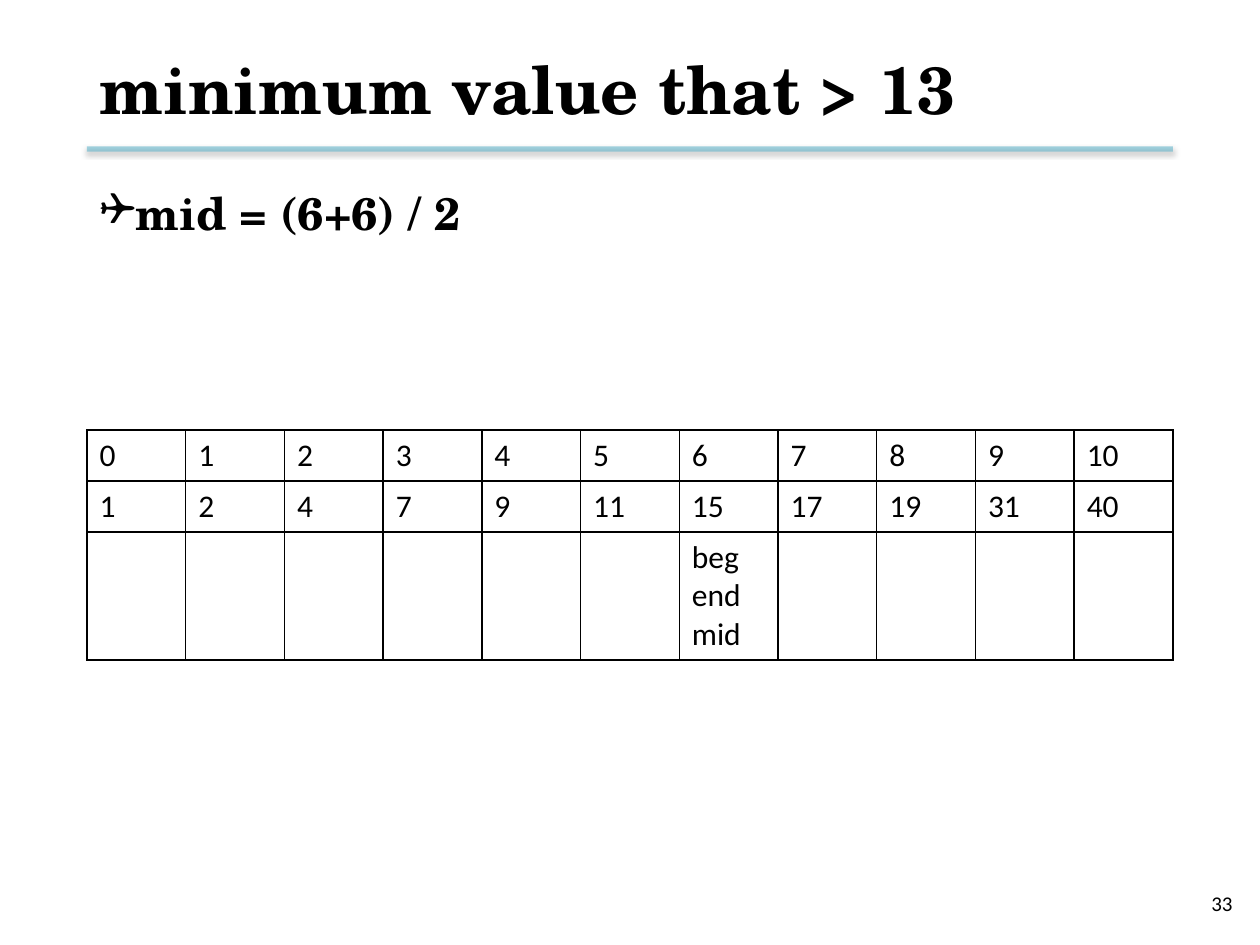
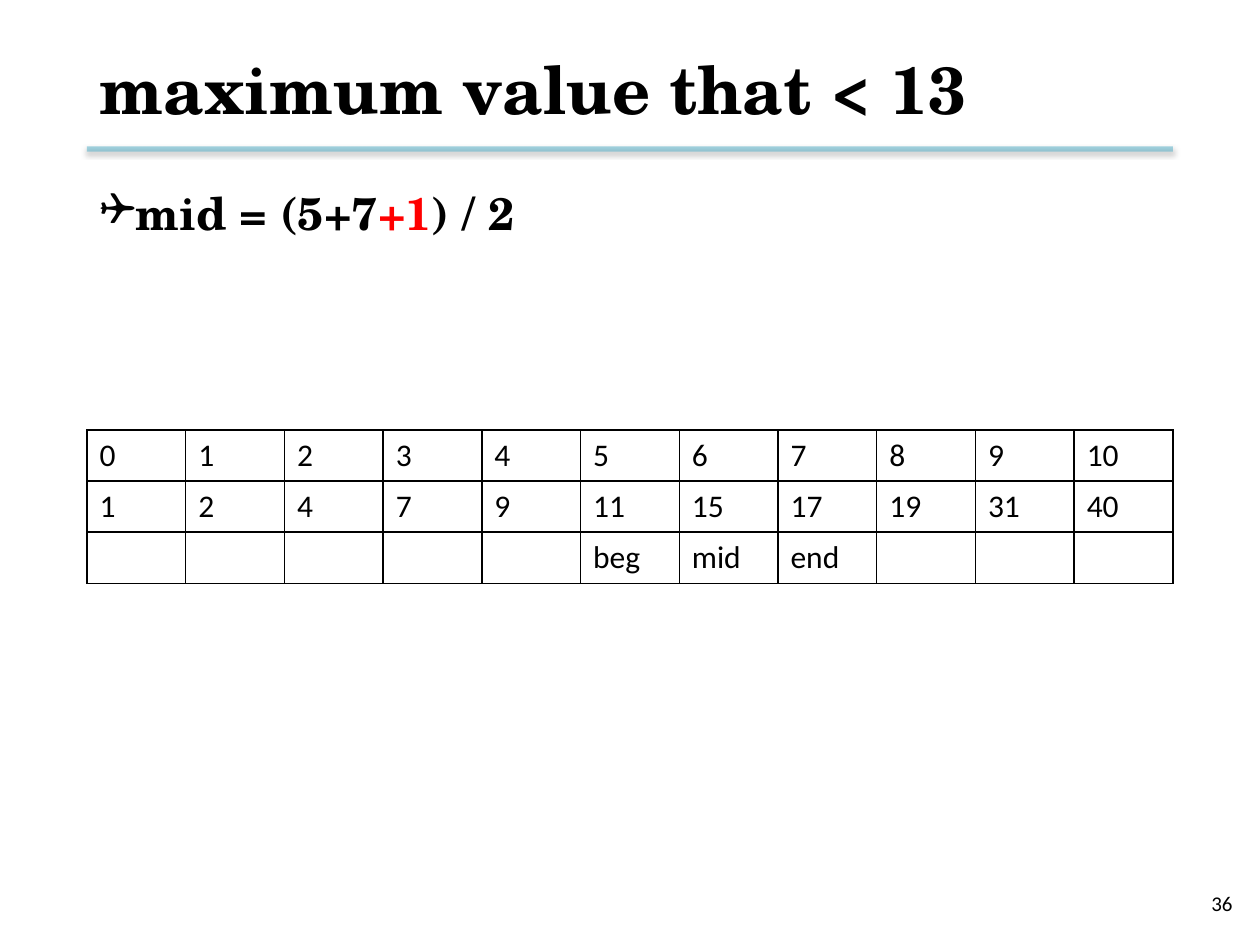
"""Build two binary search slides, each with a midpoint formula and an index table."""
import pptx
import pptx.dml.color
import pptx.enum.shapes
import pptx.enum.text
import pptx.oxml
import pptx.oxml.ns
import pptx.util

PX = 7257
LEFT, WIDTH = 87, 1086
BLACK, RED, AQUA = "000000", "FF0000", "4BACC6"
NAMESPACE = pptx.oxml.ns.nsdecls("a")

TITLE_FORMAT = {"name": "TeX Gyre Schola", "size": pptx.util.Pt(38), "bold": True}
BODY_FORMAT = {"name": "TeX Gyre Schola", "size": pptx.util.Pt(26), "bold": True}
CELL_FORMAT = {"name": "Calibri", "size": pptx.util.Pt(18), "bold": False}
NUMBER_FORMAT = {"name": "Calibri", "size": pptx.util.Pt(12), "bold": False}

INDEXES = range(11)
VALUES = [1, 2, 4, 7, 9, 11, 15, 17, 19, 31, 40]

SLIDES = [
    {"title": "minimum value that > 13", "number": "33",
     "formula": [("mid = (6+6) / 2", BLACK)],
     "markers": {6: ["beg", "end", "mid"]}},
    {"title": "maximum value that < 13", "number": "36",
     "formula": [("mid = (5+7", BLACK), ("+1", RED), (") / 2", BLACK)],
     "markers": {5: ["beg"], 6: ["mid"], 7: ["end"]}},
]


def color(code):
    return pptx.dml.color.RGBColor.from_string(code)


def write(para, pieces, text_format):
    for text, code in pieces:
        span = para.add_run()
        span.text = text
        span.font.color.rgb = color(code)
        for attribute, value in text_format.items():
            setattr(span.font, attribute, value)


deck = pptx.Presentation()
deck.slide_width, deck.slide_height = 1260 * PX, 945 * PX

for content in SLIDES:
    page = deck.slides.add_slide(deck.slide_layouts[1])

    title, body = page.shapes.title, page.placeholders[1]
    number = page.shapes.add_textbox(951 * PX, 878 * PX, 294 * PX, 50 * PX)
    middle, top = pptx.enum.text.MSO_ANCHOR.MIDDLE, pptx.enum.text.MSO_ANCHOR.TOP
    for box, anchor in [(title, middle), (body, top), (number, middle)]:
        box.text_frame.word_wrap = True
        box.text_frame.auto_size = pptx.enum.text.MSO_AUTO_SIZE.NONE
        box.text_frame.vertical_anchor = anchor
    for box, y, height in [(title, 21, 134), (body, 179, 643)]:
        box.left, box.top = LEFT * PX, y * PX
        box.width, box.height = WIDTH * PX, height * PX

    para = title.text_frame.paragraphs[0]
    para.alignment = pptx.enum.text.PP_ALIGN.LEFT
    write(para, [(content["title"], BLACK)], TITLE_FORMAT)

    para = number.text_frame.paragraphs[0]
    para.alignment = pptx.enum.text.PP_ALIGN.RIGHT
    write(para, [(content["number"], BLACK)], NUMBER_FORMAT)

    para = body.text_frame.paragraphs[0]
    para.space_before = pptx.util.Pt(0)
    properties = para._p.get_or_add_pPr()
    properties.set("marL", str(32 * PX))
    properties.set("indent", str(-57 * PX))
    for bullet in ['buFont {} typeface="Wingdings"', 'buChar {} char="❑"']:
        properties.append(pptx.oxml.parse_xml(f"<a:{bullet.format(NAMESPACE)}/>"))
    write(para, content["formula"], BODY_FORMAT)

    rule = page.shapes.add_connector(
        pptx.enum.shapes.MSO_CONNECTOR.STRAIGHT,
        LEFT * PX, 149 * PX, (LEFT + WIDTH) * PX, 149 * PX)
    rule.line.width = pptx.util.Pt(3)
    rule.line.color.rgb = color(AQUA)
    line_color = rule.line._ln.find(".//" + pptx.oxml.ns.qn("a:srgbClr"))
    line_color.append(pptx.oxml.parse_xml(f'<a:alpha {NAMESPACE} val="50000"/>'))
    rule._element.spPr.append(pptx.oxml.parse_xml(
        f'<a:effectLst {NAMESPACE}><a:outerShdw blurRad="{pptx.util.Pt(3.1)}" '
        f'dist="{pptx.util.Pt(1.6)}" dir="5400000" rotWithShape="0">'
        f'<a:srgbClr val="{BLACK}"><a:alpha val="38000"/></a:srgbClr>'
        '</a:outerShdw></a:effectLst>'))

    rows = [[[str(index)] for index in INDEXES],
            [[str(value)] for value in VALUES],
            [content["markers"].get(index, []) for index in INDEXES]]
    table = page.shapes.add_table(
        len(rows), len(VALUES), LEFT * PX, 430 * PX, WIDTH * PX, 153 * PX).table
    table.first_row = table.horz_banding = False
    for row_index, row in enumerate(rows):
        for column_index, lines in enumerate(row):
            cell = table.cell(row_index, column_index)
            for line_index, text in enumerate(lines):
                frame = cell.text_frame
                para = frame.add_paragraph() if line_index else frame.paragraphs[0]
                write(para, [(text, BLACK)], CELL_FORMAT)
            cell_properties = cell._tc.get_or_add_tcPr()
            for side in "LRTB":
                cell_properties.append(pptx.oxml.parse_xml(
                    f'<a:ln{side} {NAMESPACE} w="{pptx.util.Pt(1)}"><a:solidFill>'
                    f'<a:srgbClr val="{BLACK}"/></a:solidFill></a:ln{side}>'))
            cell.fill.background()

deck.save("out.pptx")
